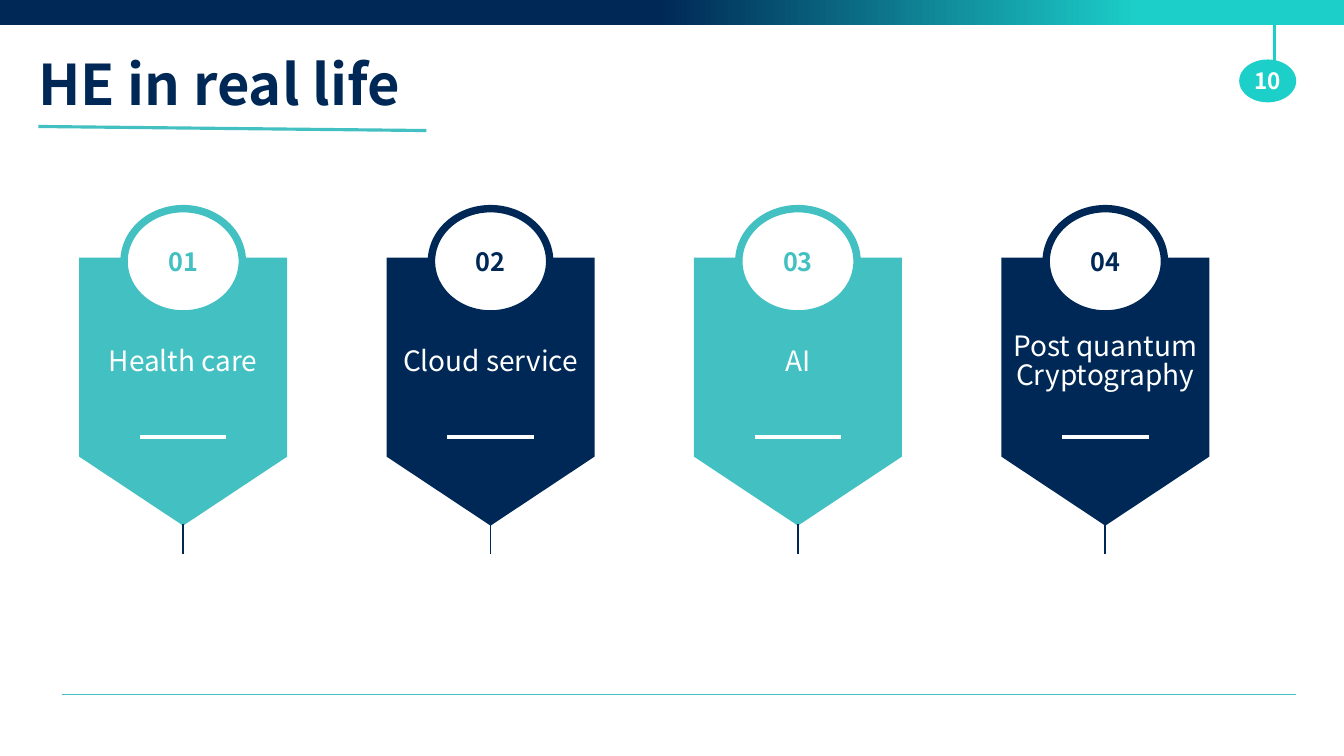
"""Build the "HE in real life" slide with four numbered pennants."""
from lxml import etree
from pptx import Presentation, util as u
from pptx.dml.color import RGBColor
from pptx.enum import shapes, text
from pptx.oxml import ns

COLOURS = {"navy": "002856", "teal": "43C0C2", "aqua": "1CCFC9", "white": "FFFFFF"}
FONT = "Noto Sans CJK KR"
TOPICS = ["Health care", "Cloud service", "AI", "Post quantum Cryptography"]
FIRST_CENTRE, PITCH = 13.63, 22.87


def rgb(name):
    return RGBColor.from_string(COLOURS[name])


class Painter:
    """Draws on one page with lengths in a grid of 100 columns by 100 rows."""

    def __init__(self, deck):
        self.page = deck.slides.add_slide(deck.slide_layouts[6])
        self.column = deck.slide_width / 100
        self.row = deck.slide_height / 100

    def place(self, *lengths):
        units = (self.column, self.row) * 2
        return [round(length * unit) for length, unit in zip(lengths, units)]

    def label(self, box, words, size, colour, bold=False, centred=True,
              insets=(0, 0, 0, 0), spacing=None, wrap=True):
        frame = box.text_frame
        frame.word_wrap = wrap
        frame.vertical_anchor = text.MSO_ANCHOR.MIDDLE if centred else text.MSO_ANCHOR.TOP
        (frame.margin_left, frame.margin_top,
         frame.margin_right, frame.margin_bottom) = map(u.Inches, insets)
        para = frame.paragraphs[0]
        para.alignment = text.PP_ALIGN.CENTER if centred else text.PP_ALIGN.LEFT
        para.line_spacing = spacing
        span = para.add_run()
        span.text = words
        span.font.name, span.font.size, span.font.bold = FONT, u.Pt(size), bold
        span.font.color.rgb = rgb(colour)

    def paint(self, box, fill, outline=None, weight=0):
        box.shadow.inherit = False
        box.fill.solid()
        box.fill.fore_color.rgb = rgb(fill)
        if outline:
            box.line.color.rgb = rgb(outline)
            box.line.width = u.Pt(weight)
        else:
            box.line.fill.background()

    def line(self, x1, y1, x2, y2, colour, weight):
        rule = self.page.shapes.add_connector(
            shapes.MSO_CONNECTOR.STRAIGHT, *self.place(x1, y1, x2, y2))
        rule.line.color.rgb = rgb(colour)
        rule.line.width = u.Pt(weight)
        etree.SubElement(rule._element.spPr, ns.qn("a:effectLst"))

    def oval(self, x, y, width, height, words, size, ink, fill, outline=None, weight=0):
        box = self.page.shapes.add_shape(
            shapes.MSO_SHAPE.OVAL, *self.place(x, y, width, height))
        self.paint(box, fill, outline, weight)
        self.label(box, words, size, ink, bold=True, wrap=False)

    def pennant(self, centre, half, top, shoulder, tip, colour, words):
        left, right = centre - half, centre + half
        corners = [(right, shoulder), (centre, tip), (left, shoulder), (left, top), (right, top)]
        points = [self.place(*corner) for corner in corners]
        builder = self.page.shapes.build_freeform(*points[0], scale=1.0)
        builder.add_line_segments(points[1:], close=True)
        box = builder.convert_to_shape()
        self.paint(box, colour)
        self.label(box, words, 40, "white", insets=(0.2, 0, 0.2, 1.15), spacing=0.84)

    def band(self, height, start, end):
        box = self.page.shapes.add_shape(
            shapes.MSO_SHAPE.RECTANGLE, *self.place(0, 0, 100, height))
        self.paint(box, start)
        box.fill.gradient()
        box.fill.gradient_angle = 0
        for stop, colour, position in zip(box.fill.gradient_stops, (start, end), (0.49, 0.85)):
            stop.color.rgb = rgb(colour)
            stop.position = position

    def title(self, x, y, width, height, words):
        box = self.page.shapes.add_textbox(*self.place(x, y, width, height))
        self.label(box, words, 80, "navy", bold=True, centred=False, spacing=0.9)

    def topic(self, index, words):
        colour = ("teal", "navy")[index % 2]
        centre = FIRST_CENTRE + index * PITCH
        self.pennant(centre, 7.74, 34.07, 60.4, 69.53, colour, words)
        self.oval(centre - 4.4, 27.6, 8.8, 13.93, f"{index + 1:02}", 36,
                  colour, "white", colour, 10.63)
        self.line(centre - 3.22, 57.8, centre + 3.22, 57.8, "white", 6.38)
        self.line(centre, 69.27, centre, 73.33, "navy", 2.5)


def main():
    deck = Presentation()
    deck.slide_width, deck.slide_height = u.Inches(26.66), u.Inches(15)
    painter = Painter(deck)
    for index, words in enumerate(TOPICS):
        painter.topic(index, words)
    painter.band(3.27, "navy", "aqua")
    painter.line(94.82, 0, 94.82, 10.67, "aqua", 3.25)
    painter.oval(92.2, 7.87, 4.24, 5.67, "10", 32, "white", "aqua")
    painter.line(4.58, 91.87, 96.44, 91.87, "teal", 0.5)
    painter.title(2.85, 7.6, 39.42, 9.67, "HE in real life")
    painter.line(2.85, 16.73, 31.73, 17.27, "teal", 4.5)
    deck.save("out.pptx")


if __name__ == "__main__":
    main()
